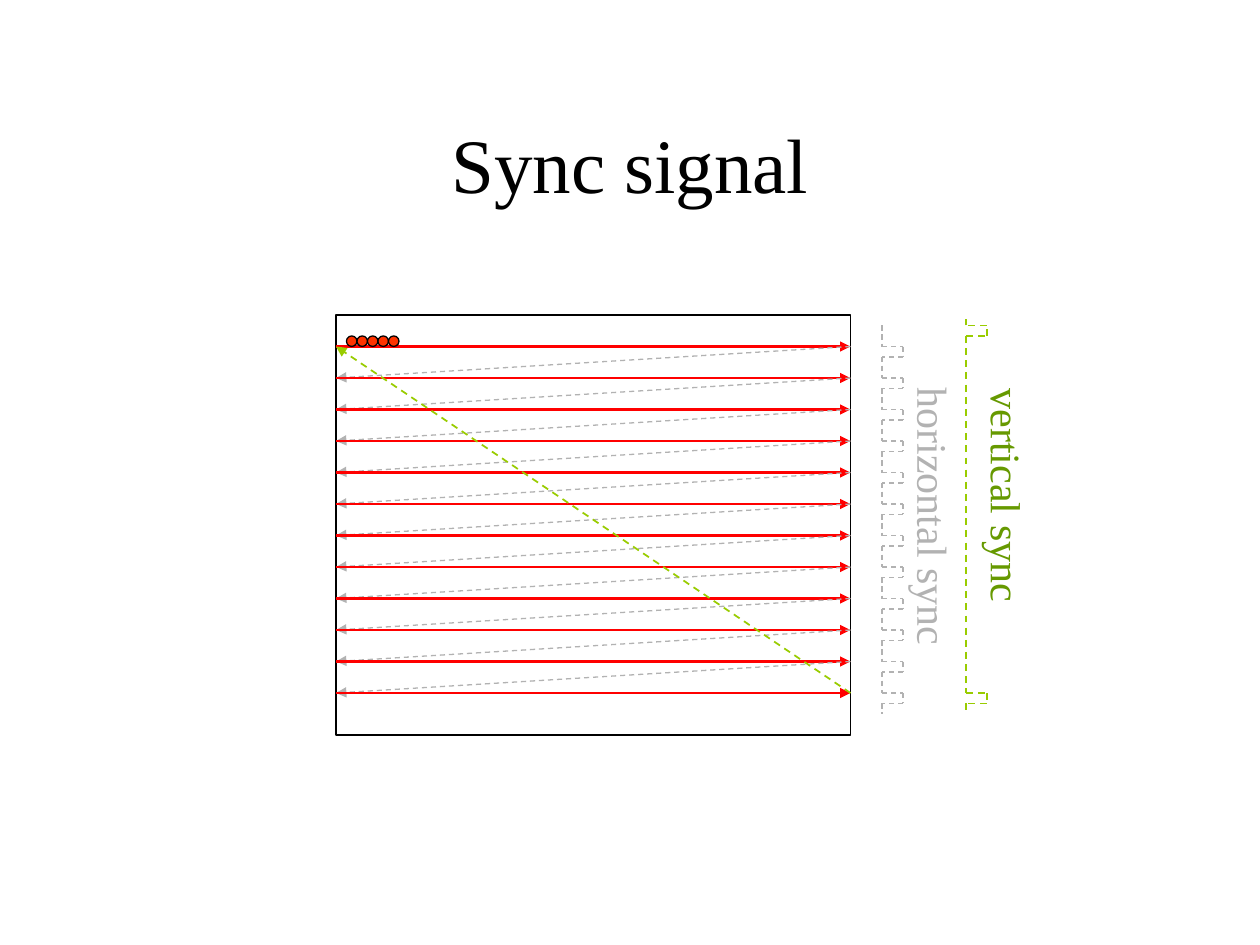
from itertools import pairwise

from lxml import etree
from pptx import Presentation
from pptx.dml.color import RGBColor
from pptx.enum.dml import MSO_LINE
from pptx.enum.shapes import MSO_CONNECTOR, MSO_SHAPE
from pptx.enum.text import MSO_ANCHOR, MSO_AUTO_SIZE, PP_ALIGN
from pptx.oxml.ns import qn
from pptx.util import Cm, Pt

STRAIGHT = MSO_CONNECTOR.STRAIGHT
DASH = MSO_LINE.DASH
RECTANGLE, OVAL = MSO_SHAPE.RECTANGLE, MSO_SHAPE.OVAL
CENTER, MIDDLE = PP_ALIGN.CENTER, MSO_ANCHOR.MIDDLE
FIT_SHAPE = MSO_AUTO_SIZE.SHAPE_TO_FIT_TEXT

BLACK = RGBColor(0x00, 0x00, 0x00)
RED = RGBColor(0xFF, 0x00, 0x00)
PIXEL_RED = RGBColor(0xFF, 0x33, 0x00)
GRAY = RGBColor(0xB2, 0xB2, 0xB2)
LIME = RGBColor(0x99, 0xCC, 0x00)
GREEN = RGBColor(0x66, 0x99, 0x00)
FONT = "Times New Roman"

# Drawing grid: one unit is a twelfth of an inch
UNIT_CM = 2.54 / 12
SCREEN_LEFT, SCREEN_TOP, SCREEN_RIGHT, SCREEN_BOTTOM = 32, 30, 81, 70
SCAN_ROWS = range(33, 67, 3)
FIRST_ROW, LAST_ROW, ROW_GAP = SCAN_ROWS[0], SCAN_ROWS[-1], SCAN_ROWS.step
H_SYNC_X, V_SYNC_X, PULSE = 84, 92, 2

# Line styles
SCAN = {"color": RED, "width": Pt(1.5)}
RETRACE = {"color": GRAY, "width": Pt(0.75), "dash_style": DASH}
FRAME_RETRACE = {"color": LIME, "width": Pt(1), "dash_style": DASH}
OUTLINE = {"color": BLACK, "width": Pt(0.75)}


def grid(units):
    return Cm(units * UNIT_CM)


def style_line(line, style):
    for key, value in style.items():
        if key == "color":
            line.color.rgb = value
        else:
            setattr(line, key, value)


def add_line(shapes, start, end, style, arrow=False):
    connector = shapes.add_connector(STRAIGHT, *map(grid, (*start, *end)))
    style_line(connector.line, style)
    properties = connector._element.spPr
    if arrow:
        etree.SubElement(properties.find(qn("a:ln")), qn("a:tailEnd"), type="triangle")
    etree.SubElement(properties, qn("a:effectLst"))


def add_trace(shapes, points, style):
    for start, end in pairwise(points):
        add_line(shapes, start, end, style)


def add_outlined(shapes, kind, left, top, width, height, fill=None):
    shape = shapes.add_shape(kind, *map(grid, (left, top, width, height)))
    shape.shadow.inherit = False
    style_line(shape.line, OUTLINE)
    if fill is None:
        shape.fill.background()
    else:
        shape.fill.solid()
        shape.fill.fore_color.rgb = fill


def format_font(paragraph, size, color):
    for key, value in {"name": FONT, "size": Pt(size), "bold": False}.items():
        setattr(paragraph.font, key, value)
    paragraph.font.color.rgb = color


def set_title(title, text):
    place = {"left": Cm(1.9), "top": Cm(1.69), "width": Cm(21.6), "height": Cm(3.17)}
    for key, value in place.items():
        setattr(title, key, value)
    title.text_frame.text = text
    title.text_frame.vertical_anchor = MIDDLE
    paragraph = title.text_frame.paragraphs[0]
    paragraph.alignment = CENTER
    format_font(paragraph, 44, BLACK)


def add_vertical_label(shapes, text, left, top, width, color):
    label = shapes.add_textbox(Cm(left), Cm(top), Cm(width), Cm(1.27))
    label.rotation = 90
    frame = label.text_frame
    for key, value in {"text": text, "word_wrap": False, "auto_size": FIT_SHAPE}.items():
        setattr(frame, key, value)
    format_font(frame.paragraphs[0], 24, color)


def add_raster(shapes):
    for row in SCAN_ROWS:
        add_line(shapes, (SCREEN_LEFT, row), (SCREEN_RIGHT, row), SCAN, arrow=True)
        if row < LAST_ROW:
            add_line(shapes, (SCREEN_RIGHT, row), (SCREEN_LEFT, row + ROW_GAP),
                     RETRACE, arrow=True)
    add_line(shapes, (SCREEN_RIGHT, LAST_ROW), (SCREEN_LEFT, FIRST_ROW),
             FRAME_RETRACE, arrow=True)


def add_horizontal_sync(shapes):
    base, peak = H_SYNC_X, H_SYNC_X + PULSE
    for row in SCAN_ROWS:
        add_trace(shapes, [(base, row - 2), (base, row), (peak, row),
                           (peak, row + 1), (base, row + 1), (base, row + 2)], RETRACE)


def add_vertical_sync(shapes):
    base, peak = V_SYNC_X, V_SYNC_X + PULSE
    start = FIRST_ROW - 1
    # Downward to the closing pulse, then upward through the opening one
    for origin, pulse, step in ((start, LAST_ROW, 1), (start, start, -1)):
        points = [(base, pulse), (peak, pulse), (peak, pulse + step),
                  (base, pulse + step), (base, pulse + 2 * step)]
        if origin != pulse:
            points.insert(0, (base, origin))
        add_trace(shapes, points, FRAME_RETRACE)


def main():
    presentation = Presentation()
    presentation.slide_width, presentation.slide_height = Cm(25.4), Cm(19.05)
    slide = presentation.slides.add_slide(presentation.slide_layouts[5])
    shapes = slide.shapes
    set_title(shapes.title, "Sync signal")

    # Screen with its scan lines
    add_outlined(shapes, RECTANGLE, SCREEN_LEFT, SCREEN_TOP,
                 SCREEN_RIGHT - SCREEN_LEFT, SCREEN_BOTTOM - SCREEN_TOP)
    add_raster(shapes)

    # Sync signals and their labels
    add_horizontal_sync(shapes.add_group_shape().shapes)
    add_vertical_sync(shapes.add_group_shape().shapes)
    add_vertical_label(shapes, "horizontal sync", 15.93, 9.83, 5.8, GRAY)
    add_vertical_label(shapes, "vertical sync", 17.86, 9.4, 4.9, GREEN)

    # First pixels on the top scan line
    for pixel in range(5):
        add_outlined(shapes, OVAL, SCREEN_LEFT + 1 + pixel, FIRST_ROW - 1, 1, 1, PIXEL_RED)

    presentation.save("out.pptx")


if __name__ == "__main__":
    main()
